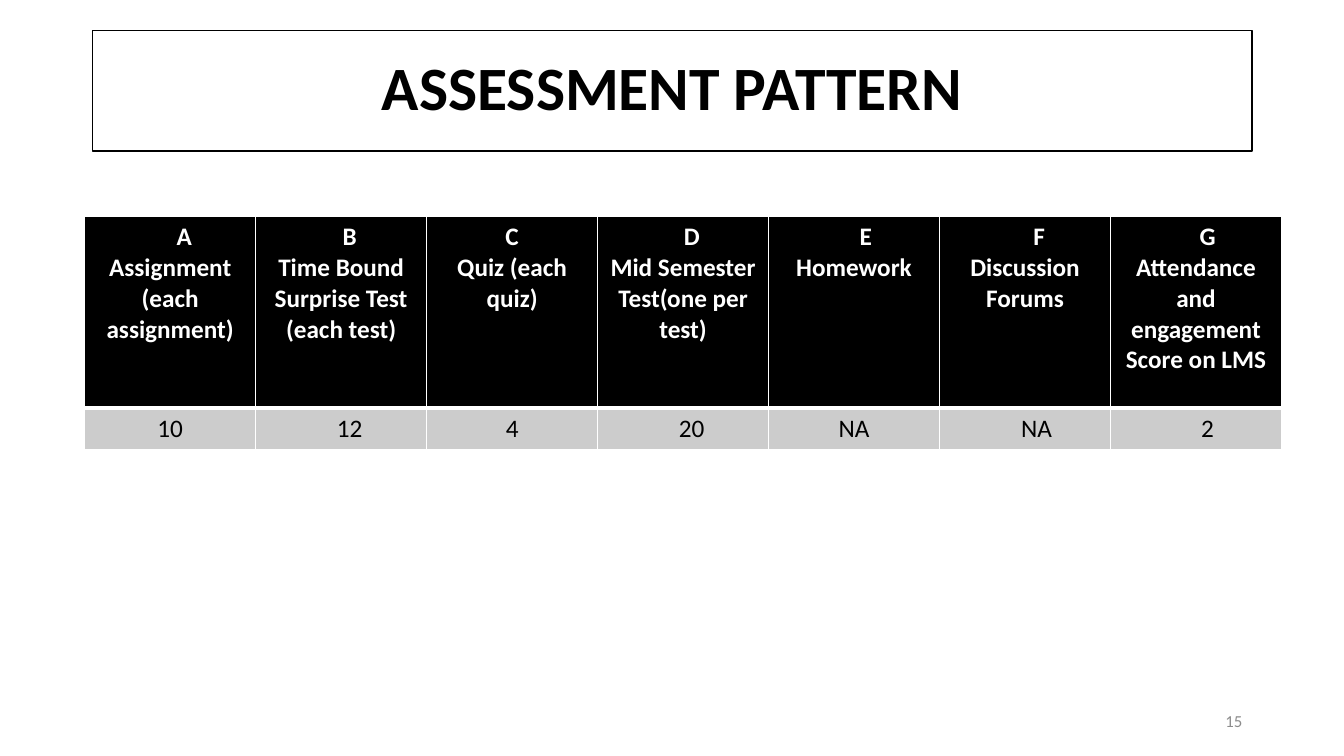
"""Build the assessment pattern slide."""
from lxml.etree import SubElement
from pptx import Presentation
from pptx.dml.color import RGBColor
from pptx.enum.shapes import MSO_SHAPE
from pptx.enum.text import MSO_ANCHOR, PP_ALIGN
from pptx.oxml.ns import qn
from pptx.util import Inches, Pt

BLACK = RGBColor(0x00, 0x00, 0x00)
WHITE = RGBColor(0xFF, 0xFF, 0xFF)
GRAY = RGBColor(0xCC, 0xCC, 0xCC)
NUMBER_GRAY = RGBColor(0x8C, 0x8C, 0x8C)

COLUMNS = [
    ("A", 0.28, "Assignment (each assignment)", "10", 0),
    ("B", 0.17, "Time Bound Surprise Test (each test)", "12", 0.17),
    ("C", 0, "Quiz (each quiz)", "4", 0),
    ("D", 0.17, "Mid Semester Test(one per test)", "20", 0.17),
    ("E", 0.23, "Homework", "NA", 0),
    ("F", 0.28, "Discussion Forums", "NA", 0.23),
    ("G", 0.23, "Attendance and engagement Score on LMS", "2", 0.23),
]


def write(p, text, size, color, bold=False, align=PP_ALIGN.CENTER, indent=0):
    p.alignment = align
    if indent:
        p._p.get_or_add_pPr().set("marL", str(Inches(indent)))
    r = p.add_run()
    r.text = text
    for name, value in {"name": "Calibri", "size": Pt(size), "bold": bold}.items():
        setattr(r.font, name, value)
    r.font.color.rgb = color


def style_cell(cell, color, borders):
    tc_pr = cell._tc.get_or_add_tcPr()
    for side, width in borders.items():
        ln = SubElement(tc_pr, qn(f"a:ln{side}"), w=str(Pt(width)))
        fill = SubElement(ln, qn("a:solidFill"))
        SubElement(fill, qn("a:srgbClr"), val=str(WHITE))
    cell.fill.solid()
    cell.fill.fore_color.rgb = color


prs = Presentation()
prs.slide_width, prs.slide_height = Inches(13.33), Inches(7.5)
s = prs.slides.add_slide(prs.slide_layouts[6])

title = s.shapes.add_shape(
    MSO_SHAPE.RECTANGLE, Inches(0.92), Inches(0.3), Inches(11.5), Inches(1.2))
title.shadow.inherit = False
title.fill.solid()
title.fill.fore_color.rgb = WHITE
title.line.color.rgb = BLACK
title.line.width = Pt(1)
tf = title.text_frame
tf.word_wrap = True
tf.vertical_anchor = MSO_ANCHOR.MIDDLE
tf.paragraphs[0].line_spacing = 0.9
write(tf.paragraphs[0], "ASSESSMENT PATTERN", 44, BLACK, bold=True)

number = s.shapes.add_textbox(Inches(9.42), Inches(6.95), Inches(3), Inches(0.4))
tf = number.text_frame
tf.word_wrap = True
tf.vertical_anchor = MSO_ANCHOR.MIDDLE
write(tf.paragraphs[0], "15", 12, NUMBER_GRAY, align=PP_ALIGN.RIGHT)

table = s.shapes.add_table(
    2, len(COLUMNS), Inches(0.84), Inches(2.15), Inches(11.87), Inches(2.31)).table
table.rows[0].height = Inches(1.9)
table.rows[1].height = Inches(0.41)
for i, (letter, letter_indent, label, score, score_indent) in enumerate(COLUMNS):
    head, value = table.cell(0, i), table.cell(1, i)
    style_cell(head, BLACK, {"L": 1, "R": 1, "T": 1, "B": 3})
    style_cell(value, GRAY, {"L": 1, "R": 1, "T": 3, "B": 1})
    tf = head.text_frame
    write(tf.paragraphs[0], letter, 18, WHITE, bold=True, indent=letter_indent)
    write(tf.add_paragraph(), label, 18, WHITE, bold=True)
    write(value.text_frame.paragraphs[0], score, 18, BLACK, indent=score_indent)

prs.save("out.pptx")
